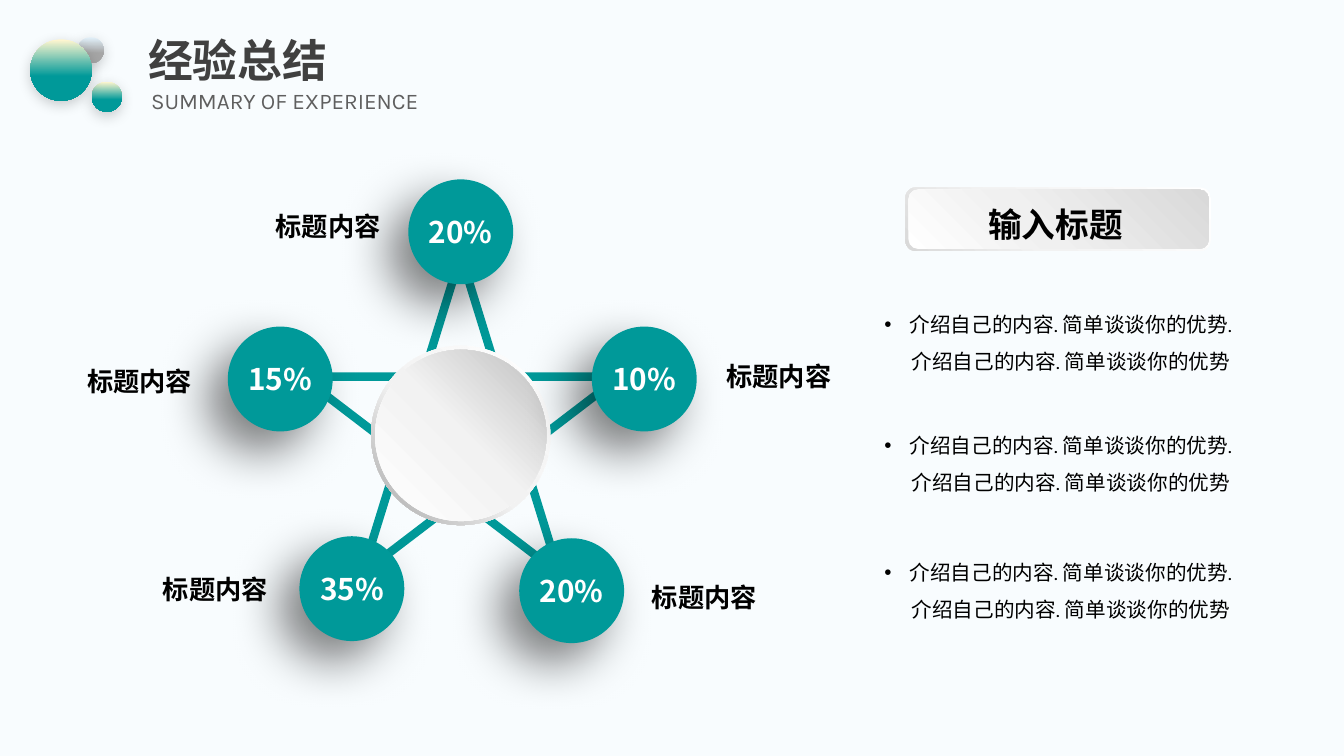
from lxml import etree
from pptx import Presentation
from pptx.dml.color import RGBColor
from pptx.enum import shapes, text
from pptx.oxml.ns import qn
from pptx.util import Inches, Pt

TEAL, SANS, KARLA = "009999", "Noto Sans CJK SC", "Karla"
TEAL_FADE = [(1, "FFF6CF"), (60, TEAL), (100, TEAL)]
GREY_FADE = [(1, "E1F0F9"), (60, "A5A5A5"), (100, "A5A5A5")]
SOFT, DEEP = (20, 10, 3, 90), (50, 35, 20, 135)  # opacity, blur, distance, angle

LOGO_DOTS = [(0.77, 0.37, 0.26, GREY_FADE), (0.91, 0.81, 0.3, TEAL_FADE),
             (0.3, 0.39, 0.61, TEAL_FADE)]
NODE = 1.04
LABEL = "标题内容"
# share, circle left and top, label left and top
NODES = [("15%", 2.26, 3.24, 0.76, 3.57), ("20%", 4.05, 1.78, 2.63, 2.04),
         ("10%", 5.87, 3.24, 7.1, 3.53), ("20%", 5.15, 5.34, 6.36, 5.72),
         ("35%", 2.97, 5.32, 1.51, 5.64)]
# kind, box, gradient stops, angle
HUB = [("DONUT", (3.68, 3.43, 1.78, 1.78),
        [(0, "FFFFFF"), (55, "F2F2F2"), (100, "A6A6A6")], 135),
       ("OVAL", (3.72, 3.47, 1.7, 1.7),
        [(0, "FFFFFF"), (51, "F2F2F2"), (100, "BFBFBF")], 315)]
BUTTON = [("ROUNDED_RECTANGLE", (8.98, 1.86, 3.03, 0.63),
           [(0, "FFFFFF"), (62, "F2F2F2"), (100, "D9D9D9")], 135),
          ("ROUNDED_RECTANGLE", (9.01, 1.88, 2.98, 0.59),
           [(0, "FFFFFF"), (42, "F0F0F0"), (100, "D9D9D9")], 315)]
INTRO = "介绍自己的内容. 简单谈谈你的优势." "介绍自己的内容. 简单谈谈你的优势"
INTRO_TOPS = [2.92, 4.12, 5.38]


def rgb(value):
    """Turn a hex string into a colour."""
    return RGBColor.from_string(value)


def add(parent, tag, **attrs):
    """Append a DrawingML child element."""
    return etree.SubElement(parent, qn("a:" + tag), {k: str(v) for k, v in attrs.items()})


def add_gradient(sp, stops, angle):
    """Fill a shape with a linear gradient of any number of stops."""
    sp.fill.gradient()
    grad = sp._element.spPr.find(qn("a:gradFill"))
    for child in list(grad):
        grad.remove(child)
    stop_list = add(grad, "gsLst")
    for pos, color in stops:
        add(add(stop_list, "gs", pos=pos * 1000), "srgbClr", val=color)
    add(grad, "lin", ang=angle * 60000, scaled=0)


def add_shadow(sp, opacity, blur, dist, angle):
    """Give a shape an outer black shadow."""
    effects = sp._element.spPr.find(qn("a:effectLst"))
    shade = add(effects, "outerShdw", blurRad=Pt(blur), dist=Pt(dist),
                dir=angle * 60000, algn="ctr", rotWithShape=0)
    add(add(shade, "srgbClr", val="000000"), "alpha", val=opacity * 1000)


def add_shape(kind, box, fill=None, angle=90, shadow=None, line=None):
    """Draw a preset shape; fill is a colour, gradient stops or nothing."""
    sp = s.shapes.add_shape(getattr(shapes.MSO_SHAPE, kind), *map(Inches, box))
    sp.shadow.inherit = False
    if isinstance(fill, str):
        sp.fill.solid()
        sp.fill.fore_color.rgb = rgb(fill)
    elif fill:
        add_gradient(sp, fill, angle)
    else:
        sp.fill.background()
    if line:
        sp.line.color.rgb, sp.line.width = rgb(line[0]), Pt(line[1])
    else:
        sp.line.fill.background()
    if shadow:
        add_shadow(sp, *shadow)
    return sp


def add_text(words, box, size, font=SANS, color="000000", bold=False, align="CENTER",
             anchor="TOP", wrap=True, inset=True, spacing=None, bullet=False):
    """Place one paragraph of formatted text."""
    tf = s.shapes.add_textbox(*map(Inches, box)).text_frame
    tf.word_wrap = wrap
    tf.auto_size = text.MSO_AUTO_SIZE.SHAPE_TO_FIT_TEXT
    tf.vertical_anchor = getattr(text.MSO_ANCHOR, anchor)
    if not inset:
        tf.margin_left = tf.margin_right = tf.margin_top = tf.margin_bottom = 0
    p = tf.paragraphs[0]
    p.alignment = getattr(text.PP_ALIGN, align)
    if spacing:
        p.line_spacing = spacing
    if bullet:
        props = p._p.get_or_add_pPr()
        props.set("marL", str(Inches(0.25)))
        props.set("indent", str(-Inches(0.25)))
        add(props, "buFont", typeface="Arial")
        add(props, "buChar", char="•")
    r = p.add_run()
    r.text = words
    r.font.size, r.font.name, r.font.bold = Pt(size), font, bold
    r.font.color.rgb = rgb(color)
    add(r._r.get_or_add_rPr(), "ea", typeface=font)


prs = Presentation()
prs.slide_width, prs.slide_height = Inches(13.33), Inches(7.5)
s = prs.slides.add_slide(prs.slide_layouts[6])
s.background.fill.solid()
s.background.fill.fore_color.rgb = rgb("F8FCFE")

for x, y, d, fade in LOGO_DOTS:
    add_shape("OVAL", (x, y, d, d), fade, shadow=SOFT)
add_text("经验总结", (1.37, 0.33, 11.5, 0.59), 32, KARLA, "404040", bold=True,
         align="LEFT", anchor="MIDDLE", spacing=0.9)
add_text("SUMMARY OF EXPERIENCE", (1.4, 0.84, 9.17, 0.34), 16, KARLA, "5F5F5F",
         align="LEFT", anchor="MIDDLE", spacing=0.9)

add_shape("STAR_5_POINT", (2.99, 2.53, 3.16, 3.16), line=(TEAL, 6))
for kind, box, stops, angle in HUB + BUTTON:
    sp = add_shape(kind, box, stops, angle)
    if kind == "DONUT":
        sp.adjustments[0] = 0.05

for share, x, y, label_x, label_y in NODES:
    add_shape("OVAL", (x, y, NODE, NODE), TEAL, shadow=DEEP)
for share, x, y, label_x, label_y in NODES:
    add_text(LABEL, (label_x, label_y, 1.25, 0.42), 18.7, bold=True, wrap=False)
    add_text(share, (x + 0.03, y + 0.34, NODE - 0.06, 0.36), 21.3, color="FFFFFF",
             bold=True, inset=False)

add_text("输入标题", (9.01, 2.02, 2.92, 0.4), 24, KARLA, bold=True, inset=False)
for top in INTRO_TOPS:
    add_text(INTRO, (8.66, top, 3.67, 0.84), 14.7, KARLA, spacing=1.5, bullet=True)

prs.save("out.pptx")
